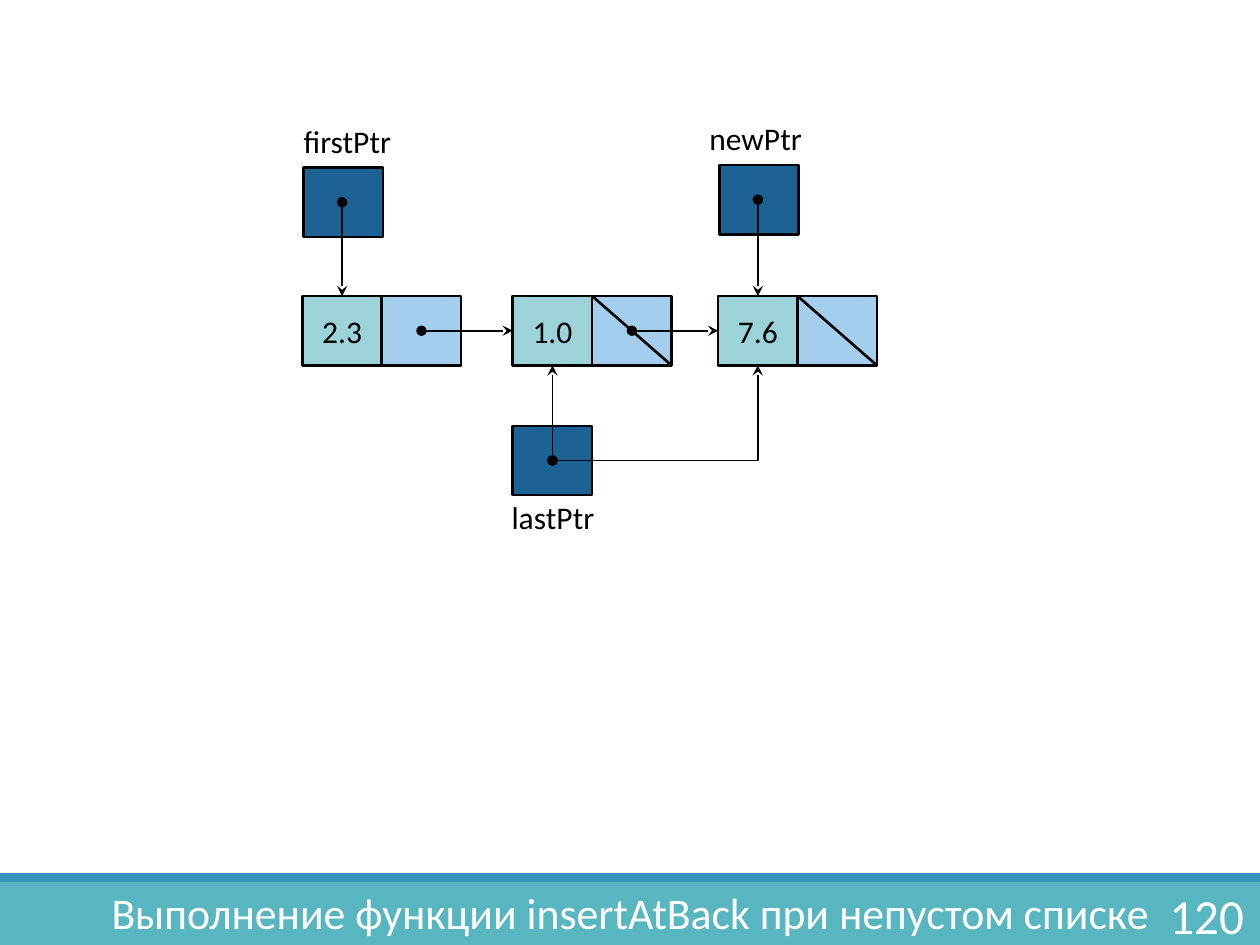
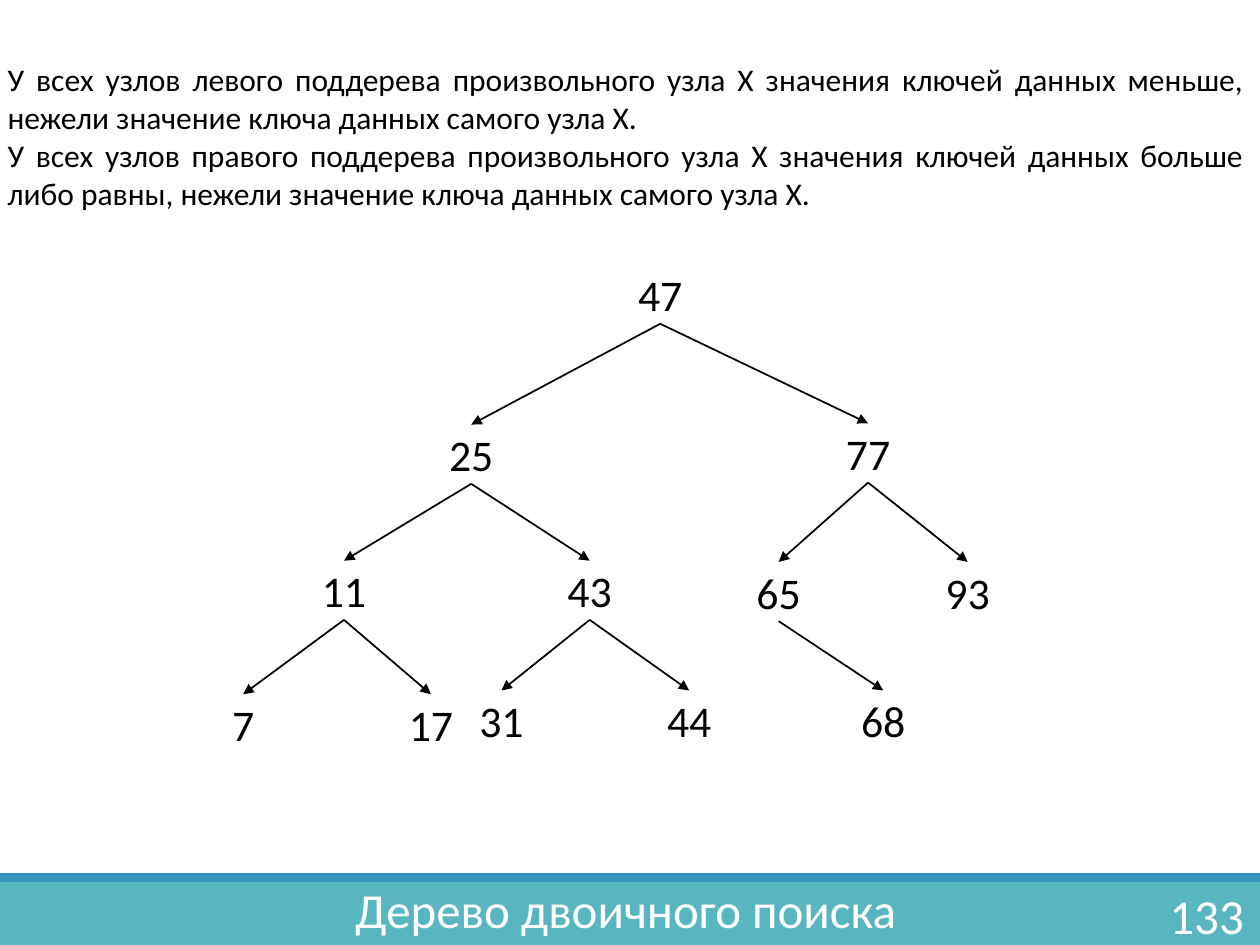
"""Two slides on linked lists and binary search trees."""
from lxml import etree
from pptx import Presentation
from pptx import util as u
from pptx.dml.color import RGBColor
from pptx.enum import shapes, text
from pptx.oxml.ns import qn

COLORS = {"band": "58B6C0", "stripe": "3494BA", "pointer": "1D6294", "value": "9BD3D9",
          "link": "A3CEED", "ink": "000000", "light": "FFFFFF"}
FONT = "Calibri"
WIDTH, HEIGHT = 10, 7.5
BAND_TOP, STRIPE = 7, 0.07

LIST = {
    "title": ("Выполнение функции insertAtBack при непустом списке", 25, (0.67, 7.03, 8.66, 0.42)),
    "page": "120",
    "top": 2.35,
    "nodes": [("2.3", 2.4, False), ("1.0", 4.07, True), ("7.6", 5.7, True)],
    "pointers": [("firstPtr", (2.41, 1.33), (2.41, 0.84), "2.3"),
                 ("newPtr", (5.71, 1.31), (5.63, 0.82), "7.6"),
                 ("lastPtr", (4.07, 3.38), (4.06, 3.83), "1.0")],
    "links": [("2.3", "1.0"), ("1.0", "7.6")],
    "moved": ("lastPtr", "7.6"),
}
CELL_W, CELL_H = 0.63, 0.55
LABEL_W = 0.78

TREE = {
    "title": ("Дерево двоичного поиска", 28, (0.83, 6.98, 8.27, 0.47)),
    "page": "133",
    "rules": [
        "У всех узлов левого поддерева произвольного узла X значения ключей данных меньше, "
        "нежели значение ключа данных самого узла X.",
        "У всех узлов правого поддерева произвольного узла X значения ключей данных больше "
        "либо равны, нежели значение ключа данных самого узла X."],
    "keys": [("47", None, 5.24, 2.1),
             ("25", "47", 3.74, 3.37), ("77", "47", 6.89, 3.36),
             ("11", "25", 2.73, 4.45), ("43", "25", 4.68, 4.45),
             ("65", "77", 6.18, 4.46), ("93", "77", 7.68, 4.46),
             ("7", "11", 1.93, 5.51), ("17", "11", 3.42, 5.51),
             ("31", "43", 3.98, 5.48), ("44", "43", 5.47, 5.48),
             ("68", "65", 7.01, 5.48)],
}
KEY_W, KEY_H = 0.63, 0.47

TOP, LEFT, BOTTOM = 0, 1, 2
ALIGN, ANCHOR = text.PP_ALIGN, text.MSO_ANCHOR


def inches(values):
    return [u.Inches(v) for v in values]


def rgb(name):
    return RGBColor.from_string(COLORS[name])


def write(shape, lines, size, color="ink", align=ALIGN.CENTER, anchor=ANCHOR.MIDDLE, inset=(0, 0)):
    frame = shape.text_frame
    side, edge = inches(inset)
    frame_format = {"word_wrap": True, "vertical_anchor": anchor, "margin_left": side,
                    "margin_right": side, "margin_top": edge, "margin_bottom": edge}
    for name, value in frame_format.items():
        setattr(frame, name, value)
    for number, line in enumerate(lines):
        paragraph = frame.add_paragraph() if number else frame.paragraphs[0]
        paragraph.alignment = align
        run = paragraph.add_run()
        run.text = line
        for name, value in {"name": FONT, "size": u.Pt(size)}.items():
            setattr(run.font, name, value)
        run.font.color.rgb = rgb(color)


def add_text(slide, box, lines, size, **style):
    shape = slide.shapes.add_textbox(*inches(box))
    write(shape, lines, size, **style)
    return shape


def add_box(slide, box, fill, outlined=True):
    shape = slide.shapes.add_shape(shapes.MSO_SHAPE.RECTANGLE, *inches(box))
    shape.shadow.inherit = False
    shape.fill.solid()
    shape.fill.fore_color.rgb = rgb(fill)
    if outlined:
        shape.line.color.rgb = rgb("ink")
        shape.line.width = u.Pt(1.5)
    else:
        shape.line.fill.background()
    return shape


def add_line(slide, start, end, width=1, head=None, tail=None, bent=False):
    kind = shapes.MSO_CONNECTOR.ELBOW if bent else shapes.MSO_CONNECTOR.STRAIGHT
    line = slide.shapes.add_connector(kind, *inches((*start, *end)))
    line.line.color.rgb = rgb("ink")
    line.line.width = u.Pt(width)
    properties = line._element.spPr
    if bent:
        properties.find(qn("a:prstGeom")).set("prst", "bentConnector2")
    for tag, arrow in (("a:headEnd", head), ("a:tailEnd", tail)):
        if arrow:
            etree.SubElement(properties.find(qn("a:ln")), qn(tag), type=arrow)
    etree.SubElement(properties, qn("a:effectLst"))
    return line


def add_base(deck, content):
    slide = deck.slides.add_slide(deck.slide_layouts[6])
    add_box(slide, (0, BAND_TOP, WIDTH, HEIGHT - BAND_TOP), "band", outlined=False)
    add_box(slide, (0, BAND_TOP - STRIPE, WIDTH, STRIPE), "stripe", outlined=False)
    title, size, box = content["title"]
    add_text(slide, box, [title], size, color="light", anchor=ANCHOR.TOP)
    add_text(slide, (8.89, 7.06, 1.08, 0.4), [content["page"]], 28, color="light",
             align=ALIGN.RIGHT, inset=(0.1, 0.05))
    return slide


def build_list(deck):
    slide = add_base(deck, LIST)
    top = LIST["top"]
    middle = top + CELL_H / 2
    arrow = {"head": "oval", "tail": "stealth"}
    lefts, cells, centers = {}, {}, {}
    for value, left, last in LIST["nodes"]:
        split = left + CELL_W
        lefts[value] = left
        cells[value] = add_box(slide, (left, top, CELL_W, CELL_H), "value")
        write(cells[value], [value], 18)
        add_box(slide, (split, top, CELL_W, CELL_H), "link")
        if last:
            add_line(slide, (split, top), (split + CELL_W, top + CELL_H), 1.5)
    for name, (left, y), label, target in LIST["pointers"]:
        add_box(slide, (left, y, CELL_W, CELL_H), "pointer")
        add_text(slide, (*label, LABEL_W, CELL_H), [name], 18, align=ALIGN.LEFT)
        x = lefts[target] + CELL_W / 2
        centers[name] = x, y + CELL_H / 2
        side, end = (TOP, top) if y < top else (BOTTOM, top + CELL_H)
        add_line(slide, centers[name], (x, end), **arrow).end_connect(cells[target], side)
    for source, target in LIST["links"]:
        start = lefts[source] + 1.5 * CELL_W
        line = add_line(slide, (start, middle), (lefts[target], middle), **arrow)
        line.end_connect(cells[target], LEFT)
    name, target = LIST["moved"]
    add_line(slide, centers[name], (lefts[target] + CELL_W / 2, top + CELL_H), bent=True, **arrow)


def build_tree(deck):
    slide = add_base(deck, TREE)
    add_text(slide, (0.06, 0.48, 9.81, 1.21), TREE["rules"], 18,
             align=ALIGN.JUSTIFY, anchor=ANCHOR.TOP)
    keys = {}
    for key, parent, center, top in TREE["keys"]:
        keys[key] = add_text(slide, (center - KEY_W / 2, top, KEY_W, KEY_H), [key], 25)
        if parent:
            branch = add_line(slide, (0, 0), (center, top), tail="triangle")
            branch.begin_connect(keys[parent], BOTTOM)
            branch.end_connect(keys[key], TOP)


def main():
    deck = Presentation()
    deck.slide_width, deck.slide_height = inches((WIDTH, HEIGHT))
    build_list(deck)
    build_tree(deck)
    deck.save("out.pptx")


if __name__ == "__main__":
    main()
